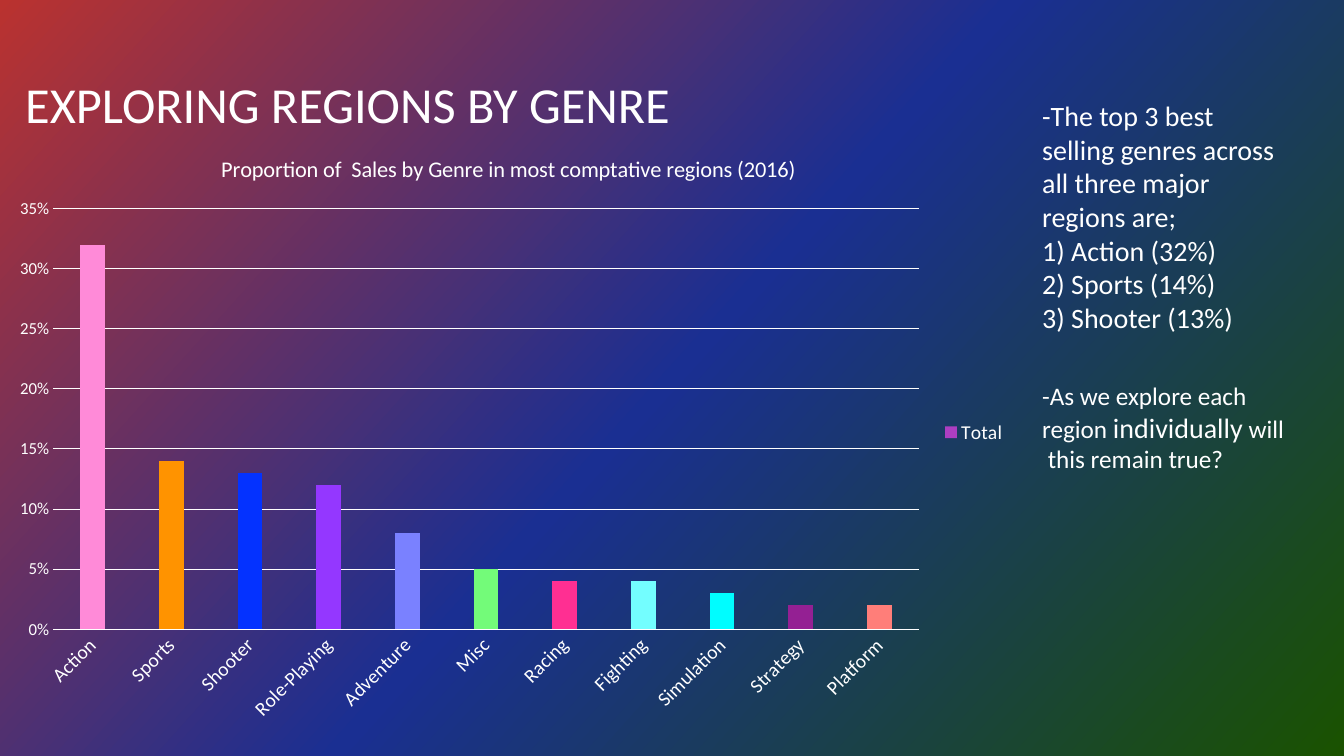
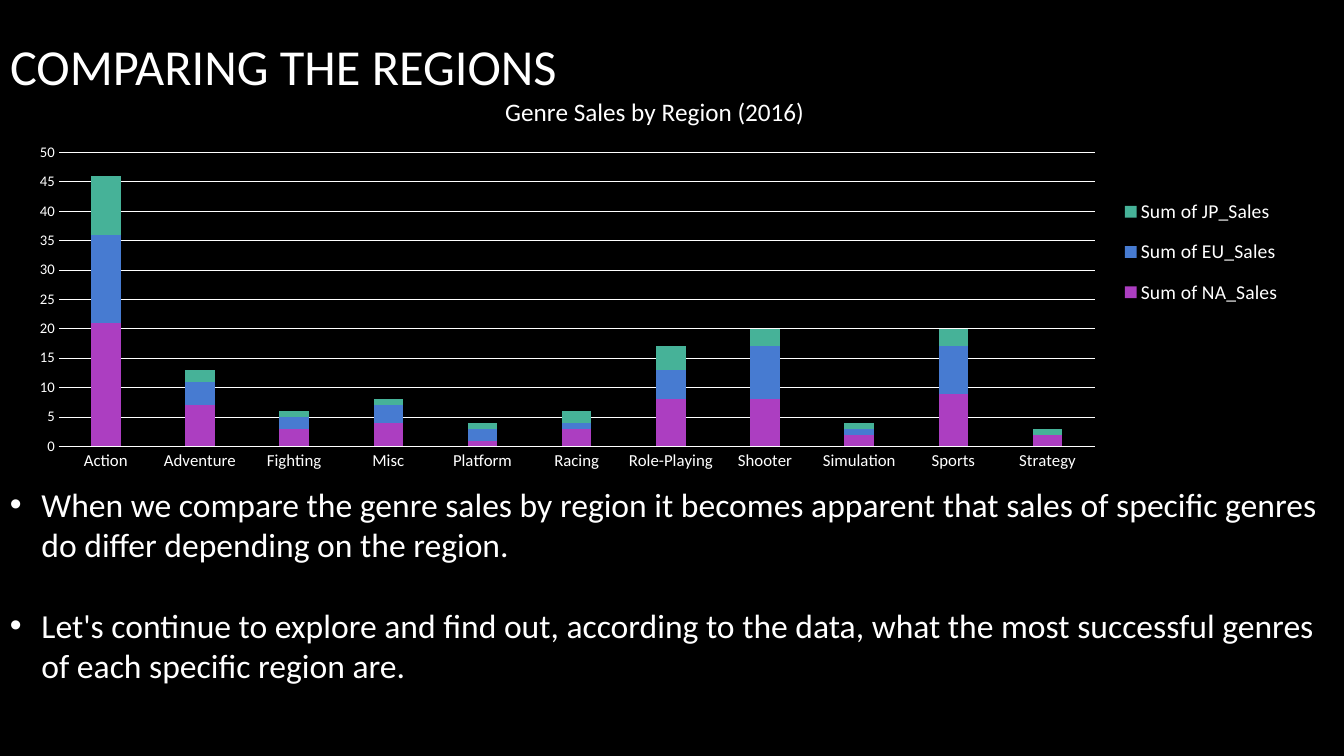
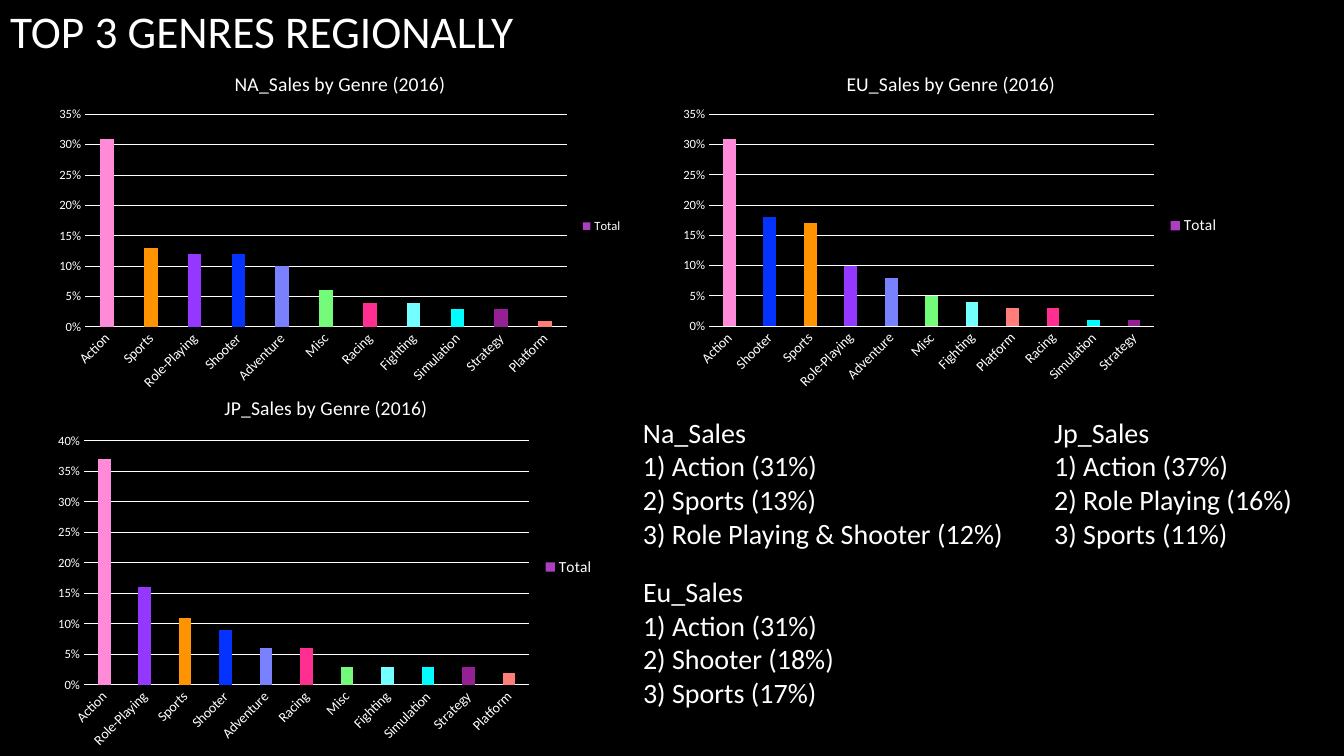
from copy import deepcopy

from pptx import Presentation
from pptx.chart.data import CategoryChartData as Data
from pptx.dml.color import RGBColor as RGB
from pptx.enum.chart import XL_CHART_TYPE as Kind
from pptx.enum.chart import XL_LEGEND_POSITION as Side
from pptx.enum.chart import XL_TICK_MARK as Tick
from pptx.enum.text import MSO_ANCHOR as Anchor
from pptx.enum.text import MSO_AUTO_SIZE as Fit
from pptx.enum.text import PP_ALIGN as Align
from pptx.oxml import parse_xml
from pptx.oxml.ns import nsdecls, qn
from pptx.util import Pt

FONT = "Calibri"
WHITE = RGB(0xFF, 0xFF, 0xFF)
BLACK = RGB(0, 0, 0)
RED = RGB(0xBA, 0x32, 0x2F)
NAVY = RGB(0x1A, 0x2F, 0x92)
GREEN = RGB(0x1A, 0x52, 0x00)
PURPLE = RGB(0xAC, 0x3E, 0xC1)
BLUE = RGB(0x47, 0x7B, 0xD1)
TEAL = RGB(0x46, 0xB2, 0x98)
GENRES = {
    "Action": RGB(0xFF, 0x8A, 0xD8),
    "Sports": RGB(0xFF, 0x93, 0x00),
    "Shooter": RGB(0x04, 0x32, 0xFF),
    "Role-Playing": RGB(0x94, 0x37, 0xFF),
    "Adventure": RGB(0x7A, 0x81, 0xFF),
    "Misc": RGB(0x73, 0xFB, 0x79),
    "Racing": RGB(0xFF, 0x2F, 0x92),
    "Fighting": RGB(0x73, 0xFE, 0xFF),
    "Simulation": RGB(0x00, 0xFD, 0xFF),
    "Strategy": RGB(0x94, 0x20, 0x93),
    "Platform": RGB(0xFF, 0x7E, 0x79),
}


# Text
def style(font, size):
    font.name, font.size, font.bold = FONT, Pt(size), False
    font.color.rgb = WHITE


def write(frame, lines, size=20, gap=0, bullet=False, wrap=True,
          anchor=Anchor.TOP):
    """Each line is a string or a list of (text, size) runs."""
    frame.word_wrap, frame.auto_size = wrap, Fit.NONE
    frame.vertical_anchor = anchor
    for i, line in enumerate(lines):
        para = frame.add_paragraph() if i else frame.paragraphs[0]
        para.alignment = Align.LEFT
        para.space_before = Pt(gap if i else 0)
        for words, pts in [(line, size)] if isinstance(line, str) else line:
            run = para.add_run()
            run.text = words
            style(run.font, pts)
        if bullet:
            props = para._p.get_or_add_pPr()
            props.set("marL", str(Pt(22.5)))
            props.set("indent", str(-Pt(22.5)))
            props.append(parse_xml(
                f'<a:buFont {nsdecls("a")} typeface="Arial"/>'))
            props.append(parse_xml(f'<a:buChar {nsdecls("a")} char="•"/>'))


def note(slide, box, lines, **look):
    shape = slide.shapes.add_textbox(*map(Pt, box))
    write(shape.text_frame, lines, **look)


# Slide with its title and background
def page(deck, title, box, size=36):
    slide = deck.slides.add_slide(deck.slide_layouts[5])
    fill = slide.background.fill
    fill.solid()
    fill.fore_color.rgb = BLACK
    head = slide.shapes.title
    head.left, head.top, head.width, head.height = map(Pt, box)
    write(head.text_frame, [title], size=size, anchor=Anchor.MIDDLE)
    return slide


def blend(slide, colors, angle):
    fill = slide.background.fill
    fill.gradient()
    fill.gradient_angle = 360 - angle
    stops = slide.element.find(".//" + qn("a:gsLst"))
    stops.insert(1, deepcopy(stops[0]))
    for i, (stop, color) in enumerate(zip(fill.gradient_stops, colors)):
        stop.position = i / (len(colors) - 1)
        stop.color.rgb = color


# Charts
def place(node, box, area, inner=False):
    """Fix a chart part at a slide area, as shares of the chart box."""
    x, y, w, h = box
    left, top, wide, high = area
    shares = zip("xywh", ((left - x) / w, (top - y) / h, wide / w, high / h))
    target = '<c:layoutTarget val="inner"/>' if inner else ""
    modes = '<c:xMode val="edge"/><c:yMode val="edge"/>'
    sizes = "".join(f'<c:{k} val="{v:.4f}"/>' for k, v in shares)
    for old in node.findall(qn("c:layout")):
        node.remove(old)
    layout = parse_xml(
        f'<c:layout {nsdecls("c")}><c:manualLayout>{target}{modes}{sizes}'
        "</c:manualLayout></c:layout>")
    if inner:
        node.insert(0, layout)
    else:
        node.find(qn("c:legendPos")).addnext(layout)


def bars(slide, box, plot, title, cats, series, kind=Kind.COLUMN_CLUSTERED,
         top=0.35, step=0.05, form="0%", sizes=(14, 10, 9, 11), overlap=0,
         turn=True, key=None):
    """sizes: title, categories, values, legend; series: name, values, color."""
    data = Data(number_format=form)
    data.categories = cats
    for name, vals, _ in series:
        data.add_series(name, vals)
    chart = slide.shapes.add_chart(kind, *map(Pt, box), data).chart
    style(chart.font, 10)
    big, small, tiny, side = sizes

    chart.has_title = True
    head = chart.chart_title
    head.include_in_layout = False
    head.text_frame.text = title
    style(head.text_frame.paragraphs[0].runs[0].font, big)

    chart.has_legend = True
    chart.legend.position = Side.RIGHT
    chart.legend.include_in_layout = False
    style(chart.legend.font, side)
    if key:
        place(chart.element.find(".//" + qn("c:legend")), box, key)

    for axis, pts in ((chart.category_axis, small), (chart.value_axis, tiny)):
        axis.major_tick_mark = axis.minor_tick_mark = Tick.NONE
        style(axis.tick_labels.font, pts)
    base, scale = chart.category_axis, chart.value_axis
    scale.minimum_scale, scale.maximum_scale = 0, top
    scale.major_unit = step
    scale.tick_labels.number_format = form
    scale.tick_labels.number_format_is_linked = False
    scale.format.line.fill.background()
    for line in (base.format.line, scale.major_gridlines.format.line):
        line.color.rgb, line.width = WHITE, Pt(0.75)
    if turn:
        body = chart.element.find(f".//{qn('c:catAx')}//{qn('a:bodyPr')}")
        body.set("rot", "-2700000")

    area = chart.plots[0]
    area.gap_width, area.overlap, area.vary_by_categories = 219, overlap, False
    for item, (_, _, color) in zip(area.series, series):
        item.format.fill.solid()
        item.format.fill.fore_color.rgb = color
    place(chart.element.find(".//" + qn("c:plotArea")), box, plot, inner=True)
    return chart


def shares(slide, box, plot, title, cats, vals, **look):
    """One series, with each genre in its own color."""
    chart = bars(slide, box, plot, title, cats,
                 [("Total", vals, PURPLE)], **look)
    for i, genre in enumerate(cats):
        fill = chart.plots[0].series[0].points[i].format.fill
        fill.solid()
        fill.fore_color.rgb = GENRES[genre]


# Slides
def explore(deck):
    slide = page(deck, "EXPLORING REGIONS BY GENRE", (10.8, 16.56, 798, 114.5))
    blend(slide, (RED, NAVY, GREEN), 42)
    shares(slide, (0, 94.3, 726.5, 429), (38, 148.9, 618.4, 300.7),
           "Proportion of  Sales by Genre in most comptative regions (2016)",
           list(GENRES),
           (.32, .14, .13, .12, .08, .05, .04, .04, .03, .02, .02),
           sizes=(16, 14, 12, 14))
    note(slide, (737.3, 67, 182, 177),
         ["-The top 3 best selling genres across all three major regions are;",
          "1) Action (32%)", "2) Sports (14%)", "3) Shooter (13%)"])
    note(slide, (737.3, 267.8, 207.4, 75),
         ["-As we explore each",
          [("region ", 18), ("individually", 20), (" will", 18)],
          " this remain true?"], size=18)


def compare(deck):
    slide = page(deck, "COMPARING THE REGIONS", (0, -10.8, 798, 114.5))
    note(slide, (0, 342, 949.7, 174),
         ["When we compare the genre sales by region it becomes apparent that "
          "sales of specific genres do differ depending on the region.",
          "Let's continue to explore and find out, according to the data, what "
          "the most successful genres of each specific region are."],
         size=24, gap=29, bullet=True)
    bars(slide, (10.8, 54.7, 913.7, 287.3), (42, 109, 740, 210),
         "Genre Sales by Region (2016)", sorted(GENRES),
         [("Sum of NA_Sales", (21, 7, 3, 4, 1, 3, 8, 8, 2, 9, 2), PURPLE),
          ("Sum of EU_Sales", (15, 4, 2, 3, 2, 1, 5, 9, 1, 8, 0), BLUE),
          ("Sum of JP_Sales", (10, 2, 1, 1, 1, 2, 4, 3, 1, 3, 1), TEAL)],
         kind=Kind.COLUMN_STACKED, top=50, step=5, form="General",
         sizes=(18, 12, 10.5, 14), overlap=100, turn=False,
         key=(798, 131, 120, 98))


def rank(deck):
    slide = page(deck, "TOP 3 GENRES REGIONALLY", (0, 0, 638.6, 43.2), 32.4)
    shares(slide, (33.8, 38.9, 418.3, 245.5), (60.8, 81.8, 344.2, 151.8),
           "NA_Sales by Genre (2016)",
           ["Action", "Sports", "Role-Playing", "Shooter", "Adventure", "Misc",
            "Racing", "Fighting", "Simulation", "Strategy", "Platform"],
           (.31, .13, .12, .12, .1, .06, .04, .04, .03, .03, .01),
           sizes=(14, 10, 9, 9), overlap=-27)
    shares(slide, (480.2, 38.9, 398.2, 244.8), (506.5, 81.8, 318, 151.2),
           "EU_Sales by Genre (2016)",
           ["Action", "Shooter", "Sports", "Role-Playing", "Adventure", "Misc",
            "Fighting", "Platform", "Racing", "Simulation", "Strategy"],
           (.31, .18, .17, .1, .08, .05, .04, .03, .03, .01, .01))
    shares(slide, (33.8, 270, 398.2, 270), (60, 315, 318, 174.3),
           "JP_Sales by Genre (2016)",
           ["Action", "Role-Playing", "Sports", "Shooter", "Adventure",
            "Racing", "Misc", "Fighting", "Simulation", "Strategy",
            "Platform"],
           (.37, .16, .11, .09, .06, .06, .03, .03, .03, .03, .02), top=0.4)
    for left, top, wide, wrap, lines in (
            (452.2, 293, 273.6, False,
             ["Na_Sales", "1) Action (31%)", "2) Sports (13%)",
              "3) Role Playing & Shooter (12%)"]),
            (452.2, 406.8, 202.3, True,
             ["Eu_Sales", "1) Action (31%)", "2) Shooter (18%)",
              "3) Sports (17%)"]),
            (745.9, 293, 202.3, True,
             ["Jp_Sales", "1) Action (37%)", "2) Role Playing (16%)",
              "3) Sports (11%)"])):
        note(slide, (left, top, wide, 104.4), lines, wrap=wrap)


deck = Presentation()
deck.slide_width, deck.slide_height = Pt(960), Pt(540)
for build in (explore, compare, rank):
    build(deck)
deck.save("out.pptx")
